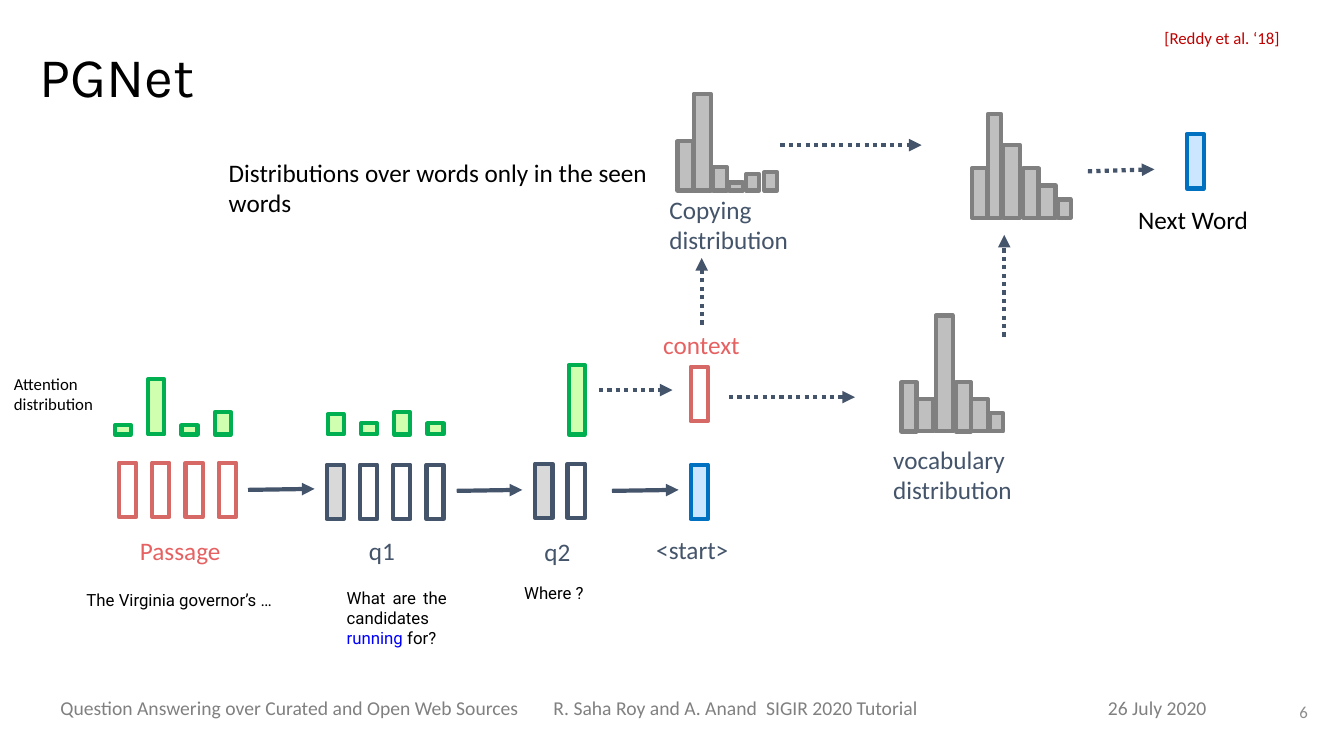
from dataclasses import dataclass
from typing import Optional

from lxml.etree import SubElement
from pptx import Presentation
from pptx.dml.color import RGBColor
from pptx.enum.dml import MSO_LINE
from pptx.enum.shapes import MSO_CONNECTOR, MSO_SHAPE
from pptx.enum.text import MSO_ANCHOR, PP_ALIGN
from pptx.oxml.ns import qn
from pptx.slide import Slide
from pptx.text.text import Font, TextFrame
from pptx.util import Emu, Inches, Pt

# Grid: 133.3 columns by 75 rows of square cells
COLS, ROWS = 133.3, 75
CELL = Inches(0.1)


def cells(n: float) -> Emu:
    return Emu(round(n * CELL))


# Theme
@dataclass(frozen=True)
class Theme:
    black: str = "000000"
    slate: str = "44546A"
    coral: str = "E66162"
    red: str = "C00000"
    blue: str = "0000FF"
    footer: str = "808080"
    number: str = "8C8C8C"
    body: str = "Calibri"
    heading: str = "Karla"
    example: str = "Roboto"
    title_pt: float = 40
    label_pt: float = 18
    footer_pt: float = 14
    small_pt: float = 12
    stroke_pt: float = 3


T = Theme()


@dataclass(frozen=True)
class Style:
    line: str
    fill: Optional[str] = None


PASSAGE = Style("D66966")
QUESTION = Style(T.slate)
FIRST = Style(T.slate, "D9D9D9")
DECODER = Style("0070C0", "CDE6FF")
ATTENTION = Style("00B050", "CFFFAF")
HISTOGRAM = Style("808080", "BFBFBF")


@dataclass(frozen=True)
class Label:
    text: str
    col: float
    row: float
    width: float
    height: float
    color: str = T.slate
    size: float = T.label_pt
    font: str = T.body
    align: PP_ALIGN = PP_ALIGN.LEFT
    anchor: MSO_ANCHOR = MSO_ANCHOR.TOP


@dataclass(frozen=True)
class TokenRow:
    """Equal boxes set side by side."""
    col: float
    row: float
    styles: tuple[Style, ...]
    pitch: float = 3.3


@dataclass(frozen=True)
class Bars:
    """Bars on one baseline, each as (column, width, height)."""
    base: float
    bars: tuple[tuple[float, float, float], ...]
    style: Style = HISTOGRAM


@dataclass(frozen=True)
class Arrow:
    start: tuple[float, float]
    end: tuple[float, float]
    dotted: bool = True


def attention(col: float, *heights: float) -> Bars:
    return Bars(43.1, tuple((col + 3.3 * i, 1.6, h) for i, h in enumerate(heights)), ATTENTION)


# Content
TITLE = Label("PGNet", 2.9, 0.6, 115, 14.5, T.black, T.title_pt, T.heading,
              anchor=MSO_ANCHOR.MIDDLE)
FOOTER = Label("Question Answering over Curated and Open Web Sources\t"
               "R. Saha Roy and A. Anand\tSIGIR 2020 Tutorial",
               5, 68.6, 103.9, 4, T.footer, T.footer_pt)
FOOTER_TABS = (48.9, 70)
CANDIDATES = Label("What are the candidates ", 33.4, 57.8, 11.9, 7.1, T.black, T.small_pt,
                   T.example, PP_ALIGN.JUSTIFY)
CANDIDATES_REST = (("running ", T.blue), ("for?", T.black))

LABELS = (
    Label("[Reddy et al. ‘18]", 114.5, 2.3, 14.9, 3, T.red, T.small_pt),
    Label("26 July 2020", 108.9, 68.6, 14.8, 4, T.footer, T.footer_pt),
    Label("6", 123.7, 68.6, 7, 4, T.number, T.small_pt,
          align=PP_ALIGN.RIGHT, anchor=MSO_ANCHOR.MIDDLE),
    Label("Passage", 12.9, 52.6, 11.4, 4, T.coral),
    Label("q1", 35.6, 52.6, 4.9, 4),
    Label("q2", 53, 52.7, 4.9, 4),
    Label("<start>", 64.1, 52.5, 10.5, 4),
    Label("The Virginia governor’s …", 7.6, 58, 21.4, 3, T.black, T.small_pt,
          T.example, PP_ALIGN.JUSTIFY),
    Label("Where ?", 51, 57.3, 11.9, 3, T.black, T.small_pt, T.example, PP_ALIGN.JUSTIFY),
    Label("Attention\ndistribution", 0.4, 36.6, 11, 5, T.black, T.small_pt),
    Label("context", 64.8, 32.2, 10.6, 4, T.coral),
    Label("vocabulary\ndistribution", 87.6, 43.6, 15.5, 7.1),
    Label("Copying\ndistribution", 65.4, 18.8, 15.5, 7.1),
    Label("Distributions over words only in the seen words", 21.7, 15.1, 45.9, 7.1, T.black),
    Label("Next Word", 111.9, 19.8, 16.1, 4, T.black),
)

TOKENS = (
    TokenRow(11.8, 45.9, (PASSAGE,) * 4),
    TokenRow(32.4, 46.1, (FIRST,) + (QUESTION,) * 3),
    TokenRow(53.1, 46, (FIRST, QUESTION), 3.2),
    TokenRow(68.5, 46.1, (DECODER,)),
    TokenRow(68.5, 36.4, (PASSAGE,)),  # context vector
    TokenRow(117.7, 13.3, (DECODER,)),  # next word
)

BARS = (
    attention(11.4, 0.9, 5.5, 0.9, 2.2),
    attention(32.5, 2, 1.1, 2.2, 1.1),
    attention(56.4, 6.9),
    # Copying, vocabulary and final distributions
    Bars(18.9, ((67.2, 1.5, 4.9), (68.8, 1.7, 9.6), (70.7, 1.4, 2.3),
                (72.3, 1.4, 0.8), (74, 1.3, 1.6), (75.8, 1.3, 1.8))),
    Bars(42.8, ((89.4, 1.5, 4.9), (90.9, 1.7, 3.2), (92.8, 1.7, 11.5),
                (94.8, 1.5, 4.9), (96.3, 1.7, 3.2), (98.2, 1.3, 1.8))),
    Bars(21.6, ((96.4, 1.5, 4.9), (98, 1.3, 10.3), (99.5, 1.7, 7.2),
                (101.5, 1.5, 4.9), (103, 1.7, 3.2), (104.9, 1.3, 1.8))),
)

ARROWS = (
    Arrow((24.6, 48.6), (31.2, 48.5), dotted=False),
    Arrow((45.3, 48.7), (51.8, 48.6), dotted=False),
    Arrow((60.7, 48.7), (67.3, 48.6), dotted=False),
    Arrow((59.4, 38.7), (66.7, 38.7)),
    Arrow((69.6, 32.2), (69.6, 25.6)),
    Arrow((72.3, 39.4), (84.8, 39.4)),
    Arrow((99.6, 33.4), (99.6, 23.3)),
    Arrow((77.4, 14.4), (91.4, 14.4)),
    Arrow((107.9, 17), (114.5, 16.8)),
)


# Drawing
def set_font(font: Font, label: Label, color: str) -> None:
    font.name, font.size = label.font, Pt(label.size)
    font.color.rgb = RGBColor.from_string(color)


def draw_label(s: Slide, label: Label) -> TextFrame:
    tf = s.shapes.add_textbox(*map(cells, (label.col, label.row, label.width,
                                           label.height))).text_frame
    tf.word_wrap = True
    tf.vertical_anchor = label.anchor
    tf.text = label.text
    for p in tf.paragraphs:
        p.alignment = label.align
        for r in p.runs:
            set_font(r.font, label, label.color)
    return tf


def draw_box(s: Slide, col: float, row: float, width: float, height: float,
             style: Style) -> None:
    sp = s.shapes.add_shape(MSO_SHAPE.RECTANGLE, *map(cells, (col, row, width, height)))
    sp.shadow.inherit = False
    sp.line.width = Pt(T.stroke_pt)
    sp.line.color.rgb = RGBColor.from_string(style.line)
    if style.fill:
        sp.fill.solid()
        sp.fill.fore_color.rgb = RGBColor.from_string(style.fill)
    else:
        sp.fill.background()


def draw_arrow(s: Slide, arrow: Arrow) -> None:
    sp = s.shapes.add_connector(MSO_CONNECTOR.STRAIGHT, *map(cells, arrow.start + arrow.end))
    sp.line.width = Pt(T.stroke_pt)
    sp.line.color.rgb = RGBColor.from_string(T.slate)
    if arrow.dotted:
        sp.line.dash_style = MSO_LINE.ROUND_DOT
    SubElement(sp.line._get_or_add_ln(), qn("a:tailEnd"), type="triangle")
    SubElement(sp._element.spPr, qn("a:effectLst"))


def main() -> None:
    prs = Presentation()
    prs.slide_width, prs.slide_height = cells(COLS), cells(ROWS)
    s = prs.slides.add_slide(prs.slide_layouts[6])

    # Title, footer and labels
    draw_label(s, TITLE).paragraphs[0].line_spacing = 0.9
    p = draw_label(s, FOOTER).paragraphs[0]
    tabs = SubElement(p._p.get_or_add_pPr(), qn("a:tabLst"))
    for stop in FOOTER_TABS:
        SubElement(tabs, qn("a:tab"), pos=str(cells(stop)), algn="l")
    for label in LABELS:
        draw_label(s, label)
    p = draw_label(s, CANDIDATES).paragraphs[0]
    for text, color in CANDIDATES_REST:
        r = p.add_run()
        r.text = text
        set_font(r.font, CANDIDATES, color)

    # Network diagram
    for tokens in TOKENS:
        for i, style in enumerate(tokens.styles):
            draw_box(s, tokens.col + i * tokens.pitch, tokens.row, 1.7, 5.4, style)
    for group in BARS:
        for col, width, height in group.bars:
            draw_box(s, col, group.base - height, width, height, group.style)
    for arrow in ARROWS:
        draw_arrow(s, arrow)
    prs.save("out.pptx")


if __name__ == "__main__":
    main()
